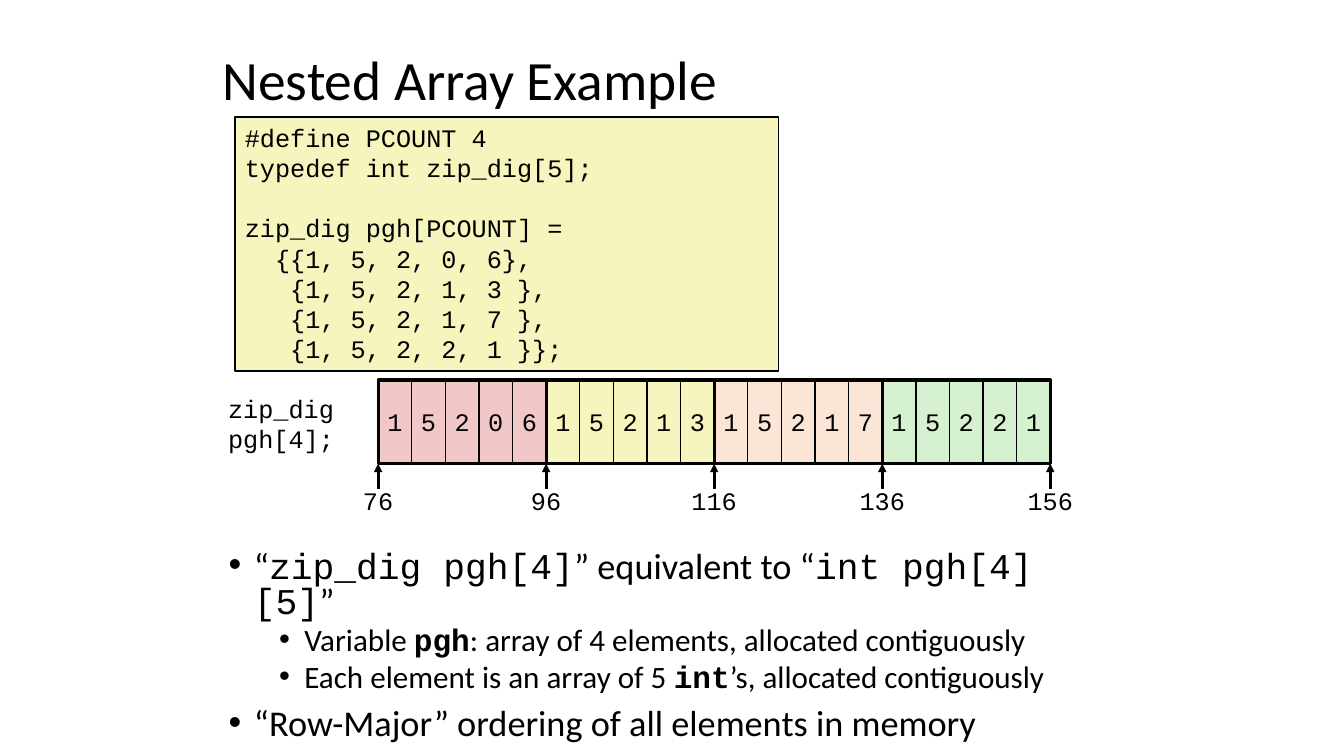
from pptx import Presentation
from pptx.dml.color import RGBColor
from pptx.enum.shapes import MSO_CONNECTOR, MSO_SHAPE
from pptx.enum.text import MSO_ANCHOR, PP_ALIGN
from pptx.oxml.ns import qn
from pptx.util import Inches, Pt
from lxml import etree

RECTANGLE = MSO_SHAPE.RECTANGLE
STRAIGHT = MSO_CONNECTOR.STRAIGHT
TOP, MIDDLE = MSO_ANCHOR.TOP, MSO_ANCHOR.MIDDLE
LEFT, CENTER, RIGHT = PP_ALIGN.LEFT, PP_ALIGN.CENTER, PP_ALIGN.RIGHT


def color(value):
    return RGBColor.from_string(value)


class SlideBuilder:
    SANS, MONO = "Calibri", "Courier New"
    INK = "000000"
    CODE_SIZE = 18

    def __init__(self, slide):
        self.slide = slide

    def set_font(self, font, name, size):
        font.name = name
        font.size = Pt(size)
        font.color.rgb = color(self.INK)

    def indent(self, paragraph, margin, first_line=0):
        properties = paragraph._p.get_or_add_pPr()
        properties.set("marL", str(Inches(margin)))
        properties.set("indent", str(Inches(first_line)))
        return properties

    def set_lines(self, shape, lines, name, size, align=LEFT, anchor=TOP, wrap=True):
        frame = shape.text_frame
        frame.word_wrap = wrap
        frame.vertical_anchor = anchor
        frame.text = "\n".join(lines)
        for paragraph in frame.paragraphs:
            paragraph.alignment = align
            self.set_font(paragraph.font, name, size)
        return frame.paragraphs

    def text(self, left, top, width, height, lines, name=MONO, size=CODE_SIZE, **layout):
        box = self.slide.shapes.add_textbox(
            Inches(left), Inches(top), Inches(width), Inches(height))
        return self.set_lines(box, lines, name, size, **layout)

    def rectangle(self, left, top, width, height, fill=None, line_width=1):
        shape = self.slide.shapes.add_shape(
            RECTANGLE, Inches(left), Inches(top), Inches(width), Inches(height))
        shape.shadow.inherit = False
        if fill:
            shape.fill.solid()
            shape.fill.fore_color.rgb = color(fill)
        else:
            shape.fill.background()
        shape.line.color.rgb = color(self.INK)
        shape.line.width = Pt(line_width)
        return shape

    def code(self, left, top, width, height, fill, lines):
        """Each line is (text, indent in characters, blank lines above)."""
        box = self.rectangle(left, top, width, height, fill)
        paragraphs = self.set_lines(box, [line[0] for line in lines],
                                    self.MONO, self.CODE_SIZE)
        for paragraph, (_, columns, gap) in zip(paragraphs, lines):
            self.indent(paragraph, columns * 0.15)
            paragraph.space_before = Inches(gap * 0.3)

    def arrow(self, x, start, end):
        connector = self.slide.shapes.add_connector(
            STRAIGHT, Inches(x), Inches(start), Inches(x), Inches(end))
        connector.line.color.rgb = color(self.INK)
        connector.line.width = Pt(2)
        etree.SubElement(connector.line._get_or_add_ln(), qn("a:tailEnd"), type="triangle")
        etree.SubElement(connector._element.spPr, qn("a:effectLst"))

    def bullets(self, left, top, width, height, items):
        """Each item is (level, runs); a run is (text, is code)."""
        paragraphs = self.text(left, top, width, height, [""] * len(items), self.SANS)
        for paragraph, (level, runs) in zip(paragraphs, items):
            size = 22.2 if level else 25.9
            paragraph.level = level
            paragraph.line_spacing = 0.8
            paragraph.space_before = Pt(5 if level else 10)
            properties = self.indent(paragraph, 0.25 + 0.5 * level, -0.25)
            self.set_font(paragraph.font, self.SANS, size)
            default_font = properties.find(qn("a:defRPr"))
            default_font.addprevious(etree.Element(qn("a:buFont"), typeface="Arial"))
            default_font.addprevious(etree.Element(qn("a:buChar"), char="•"))
            for content, is_code in runs:
                run = paragraph.add_run()
                run.text = content
                self.set_font(run.font, self.MONO if is_code else self.SANS, size)
                run.font.bold = bool(is_code and level)


YELLOW = "F6F5BD"
CODE = [
    ("#define PCOUNT 4", 0, 0),
    ("typedef int zip_dig[5];", 0, 0),
    ("zip_dig pgh[PCOUNT] =", 0, 1),
    ("{{1, 5, 2, 0, 6},", 2, 0),
    ("{1, 5, 2, 1, 3 },", 3, 0),
    ("{1, 5, 2, 1, 7 },", 3, 0),
    ("{1, 5, 2, 2, 1 }};", 3, 0),
]
ROWS = [("15206", "F1C7C7"), ("15213", YELLOW), ("15217", "FBE5D6"), ("15221", "D5F1CF")]
BULLETS = [
    (0, [("“", False), ("zip_dig pgh[4]", True), ("” equivalent to “", False),
         ("int pgh[4][5]", True), ("”", False)]),
    (1, [("Variable ", False), ("pgh", True),
         (": array of 4 elements, allocated contiguously", False)]),
    (1, [("Each element is an array of 5 ", False), ("int", True),
         ("’s, allocated contiguously", False)]),
    (0, [("“Row-Major” ordering of all elements in memory", False)]),
]
ARRAY_LEFT, ARRAY_TOP, CELL_HEIGHT = 3.75, 3.77, 0.83
CELL_WIDTH = 1 / 3
ROW_WIDTH = 5 * CELL_WIDTH
FIRST_ADDRESS, ROW_BYTES = 76, 20


def main():
    presentation = Presentation()
    presentation.slide_width = Inches(13.33)
    presentation.slide_height = Inches(7.5)
    builder = SlideBuilder(presentation.slides.add_slide(presentation.slide_layouts[6]))

    # Title, explanation and declaration
    title = builder.text(2.11, 0.5, 6.97, 0.63, ["Nested Array Example"],
                         builder.SANS, 39.6, anchor=MIDDLE)
    title[0].line_spacing = 0.9
    builder.bullets(2.17, 5.42, 8.75, 2.08, BULLETS)
    builder.code(2.33, 1.16, 5.39, 2.52, YELLOW, CODE)
    builder.text(2.16, 3.85, 1.25, 0.7, ["zip_dig", "pgh[4];"], align=RIGHT, wrap=False)

    # Row start addresses
    for index in range(len(ROWS) + 1):
        x = ARRAY_LEFT + index * ROW_WIDTH
        address = str(FIRST_ADDRESS + index * ROW_BYTES)
        width = 0.2 + 0.15 * len(address)
        builder.arrow(x, 4.85, ARRAY_TOP + CELL_HEIGHT)
        builder.text(x - width / 2, 4.77, width, 0.4, [address], align=CENTER, wrap=False)

    # Array cells
    for row, (digits, fill) in enumerate(ROWS):
        for column, digit in enumerate(digits):
            x = ARRAY_LEFT + row * ROW_WIDTH + column * CELL_WIDTH
            cell = builder.rectangle(x, ARRAY_TOP, CELL_WIDTH, CELL_HEIGHT, fill)
            builder.set_lines(cell, [digit], builder.MONO, builder.CODE_SIZE,
                              CENTER, MIDDLE, wrap=False)

    # Heavy row outlines
    for row in range(len(ROWS)):
        builder.rectangle(ARRAY_LEFT + row * ROW_WIDTH, ARRAY_TOP,
                          ROW_WIDTH, CELL_HEIGHT, line_width=2.25)

    presentation.save("out.pptx")


if __name__ == "__main__":
    main()
